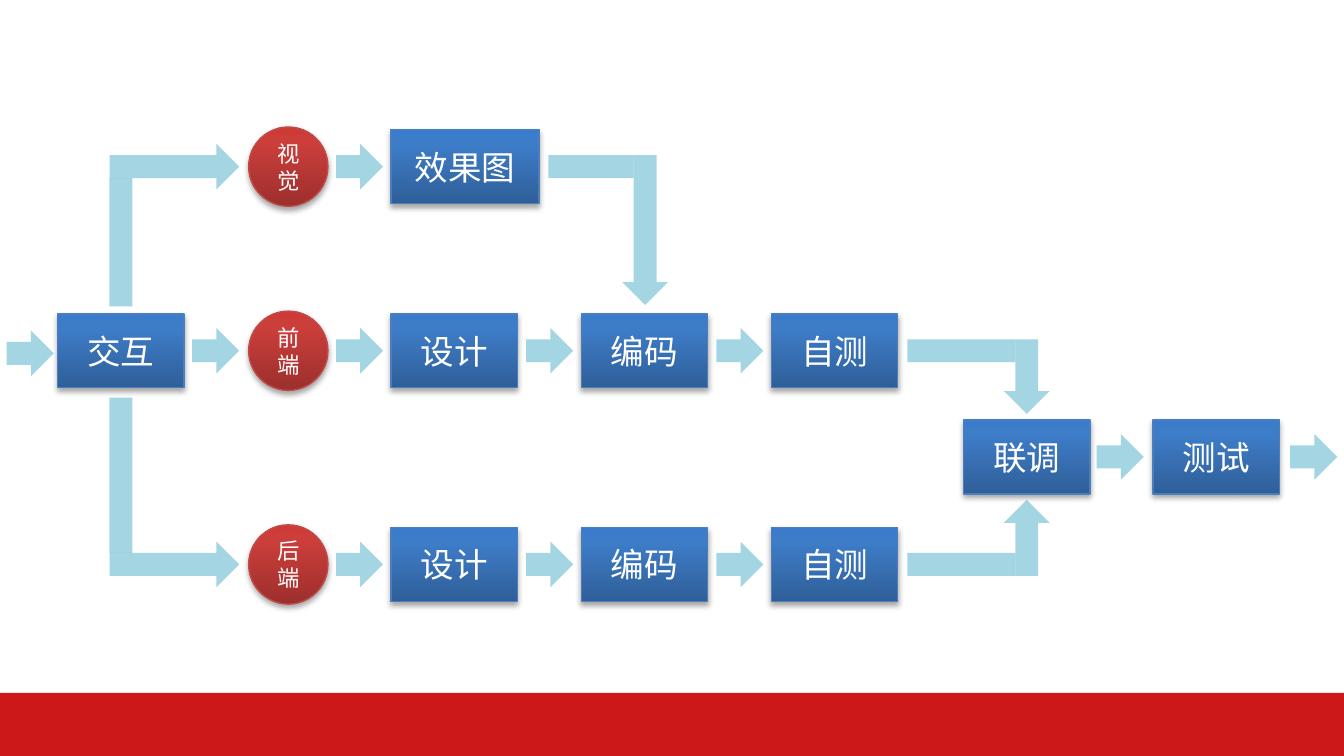
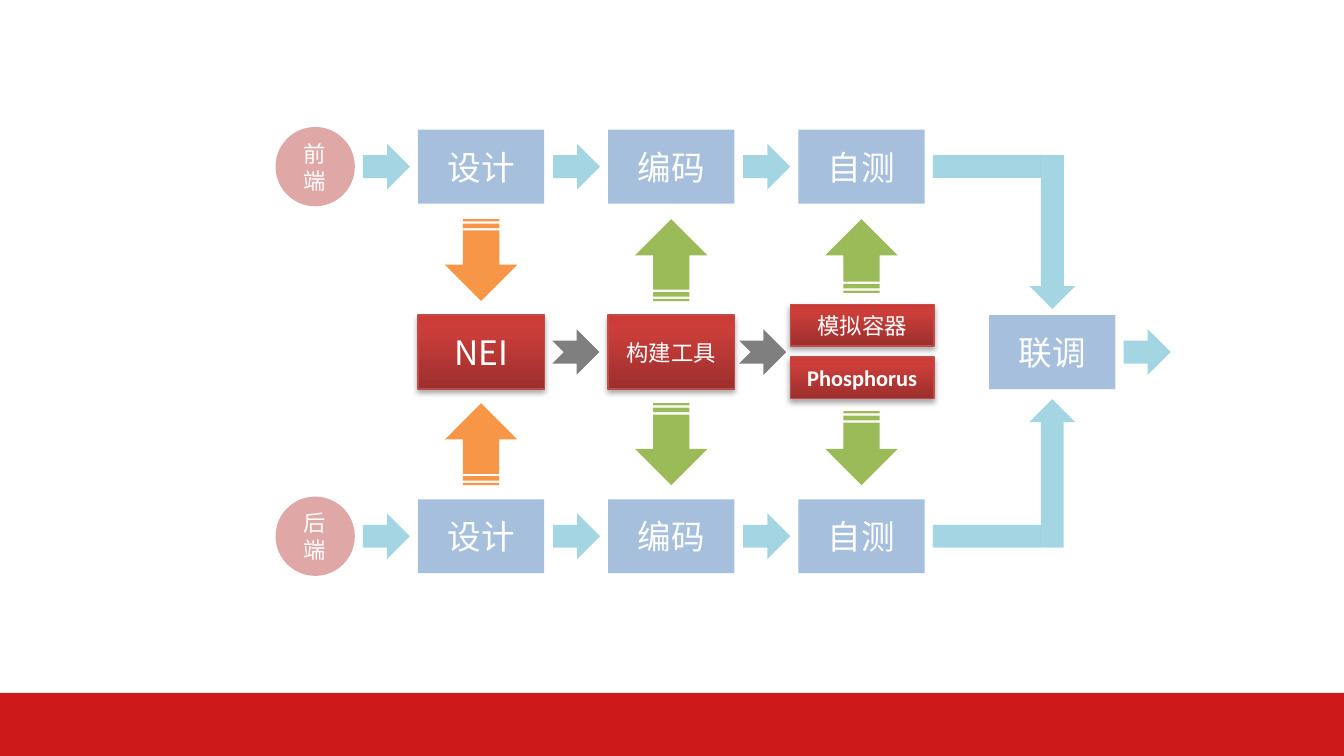
from functools import partial

from pptx import Presentation
from pptx.dml.color import RGBColor
from pptx.enum.shapes import MSO_SHAPE as SHAPE
from pptx.enum.text import MSO_ANCHOR, PP_ALIGN
from pptx.oxml import parse_xml
from pptx.oxml.ns import nsdecls
from pptx.util import Inches, Pt

WHITE = RGBColor(0xFF, 0xFF, 0xFF)
BAND_RED = RGBColor(0xCC, 0x18, 0x18)
BLUE = RGBColor(0x4F, 0x81, 0xBD)
RED = RGBColor(0xC0, 0x50, 0x4D)
AQUA = RGBColor(0x4B, 0xAC, 0xC6)
ORANGE = RGBColor(0xF7, 0x96, 0x46)
GREEN = RGBColor(0x9B, 0xBB, 0x59)
BLACK = RGBColor(0x00, 0x00, 0x00)
BLUE_EDGE = RGBColor(0x4B, 0x7E, 0xBC)
RED_EDGE = RGBColor(0xBF, 0x4C, 0x48)
# Gradient colours from bottom to top
BLUE_STOPS = (RGBColor(0x2F, 0x5F, 0x99), RGBColor(0x3D, 0x7C, 0xC7), RGBColor(0x3A, 0x7C, 0xCB))
RED_STOPS = (RGBColor(0x9C, 0x2F, 0x2D), RGBColor(0xCB, 0x3E, 0x3A), RGBColor(0xCE, 0x3B, 0x37))

CJK, LATIN = "Noto Sans CJK SC", "Calibri"
SLIDE_W = 10
SLIDE_H = SLIDE_W * 9 / 16
BAND_H = 0.47
BOX_W, BOX_H = 0.94, 0.55
PITCH = 2.83 / 2             # from one box of a lane to the next
CIRCLE = 0.59
STEP_W, ARROW_H = 0.35, 0.34
STEP_BACK = 0.41             # from a step arrow to the box it leads to
SHAFT = ARROW_H / 2
FLOW_STEPS = ("设计", "编码", "自测")


# Paints
def flat(sp, color, alpha=None):
    sp.shadow.inherit = False
    sp.fill.solid()
    sp.fill.fore_color.rgb = color
    sp.line.fill.background()
    if alpha:
        clr = sp.element.spPr.xpath("./a:solidFill/a:srgbClr")[0]
        clr.append(parse_xml(f'<a:alpha {nsdecls("a")} val="{alpha * 1000}"/>'))


def glossy(sp, stops, edge):
    spPr = sp.element.spPr
    marks = "".join(f'<a:gs pos="{pos}"><a:srgbClr val="{color}"/></a:gs>'
                    for pos, color in zip((0, 80000, 100000), stops))
    spPr.insert(2, parse_xml(
        f'<a:gradFill {nsdecls("a")} rotWithShape="1"><a:gsLst>{marks}</a:gsLst>'
        '<a:lin ang="16200000" scaled="0"/></a:gradFill>'))
    sp.line.color.rgb = edge
    sp.line.width = Pt(0.75)
    sp.shadow.inherit = False
    spPr.xpath("./a:effectLst")[0].append(parse_xml(
        f'<a:outerShdw {nsdecls("a")} blurRad="{Pt(3.1)}" dist="{Pt(1.8)}" dir="5400000" '
        'rotWithShape="0"><a:srgbClr val="000000"><a:alpha val="35000"/></a:srgbClr></a:outerShdw>'))


BLUE_GLOSS = partial(glossy, stops=BLUE_STOPS, edge=BLUE_EDGE)
RED_GLOSS = partial(glossy, stops=RED_STOPS, edge=RED_EDGE)
BLUE_FADED = partial(flat, color=BLUE, alpha=50)
RED_FADED = partial(flat, color=RED, alpha=50)
AQUA_FADED = partial(flat, color=AQUA, alpha=50)
GREY = partial(flat, color=BLACK, alpha=50)


# Basic parts
def add(s, kind, x, y, w, h, paint):
    sp = s.shapes.add_shape(kind, Inches(x), Inches(y), Inches(w), Inches(h))
    paint(sp)
    return sp


def label(sp, text, size, font=CJK, bold=None):
    tf = sp.text_frame
    tf.word_wrap = True
    tf.vertical_anchor = MSO_ANCHOR.MIDDLE
    p = tf.paragraphs[0]
    p.alignment = PP_ALIGN.CENTER
    r = p.add_run()
    r.text = text
    r.font.size = Pt(size)
    r.font.bold = bold
    r.font.color.rgb = WHITE
    r.font.name = font
    r.font._element.append(parse_xml(f'<a:ea {nsdecls("a")} typeface="{CJK}"/>'))


def box(s, x, cy, text, paint, w=BOX_W, h=BOX_H, size=18, **style):
    label(add(s, SHAPE.RECTANGLE, x, cy - h / 2, w, h, paint), text, size, **style)


def step_arrow(s, x, cy, kind=SHAPE.RIGHT_ARROW, paint=AQUA_FADED):
    add(s, kind, x, cy - ARROW_H / 2, STEP_W, ARROW_H, paint)


def vertical_arrow(s, cx, start, tip, kind=SHAPE.RIGHT_ARROW, thick=ARROW_H, paint=AQUA_FADED):
    length = abs(tip - start)
    sp = add(s, kind, cx - length / 2, (start + tip - thick) / 2, length, thick, paint)
    sp.rotation = 90 if tip > start else 270


# Bent arrows
def branch(s, cx, start, cy, tip_x):
    """Leave vertically from start, then point right at height cy."""
    left = cx - SHAFT / 2
    end = cy + SHAFT / 2 if start > cy else cy - SHAFT / 2
    add(s, SHAPE.RIGHT_ARROW, left, cy - ARROW_H / 2, tip_x - left, ARROW_H, AQUA_FADED)
    add(s, SHAPE.RECTANGLE, left, min(start, end), SHAFT, abs(start - end), AQUA_FADED)


def merge(s, x, cy, cx, tip):
    """Leave to the right at height cy, then point up or down to tip."""
    length = cx - SHAFT / 2 - x
    bar = add(s, SHAPE.RECTANGLE, x + (length - SHAFT) / 2, cy - length / 2,
              SHAFT, length, AQUA_FADED)
    bar.rotation = 90
    start = cy - SHAFT / 2 if tip > cy else cy + SHAFT / 2
    vertical_arrow(s, cx, start, tip)


# A lane: the role in a circle, then its steps
def lane(s, x, cy, role, steps, circle_paint, box_paint, w=BOX_W):
    sp = add(s, SHAPE.FLOWCHART_CONNECTOR, x, cy - CIRCLE / 2, CIRCLE, CIRCLE, circle_paint)
    label(sp, role, 12)
    for i, step in enumerate(steps):
        box_x = x + 1.06 + i * PITCH
        step_arrow(s, box_x - STEP_BACK, cy)
        box(s, box_x, cy, step, box_paint, w)


# Slide 1: the whole process
def process_slide(s):
    visual, front, back, joint = 1.24, 2.61, 4.2, 3.4
    step_arrow(s, 0.05, front + 0.02)
    box(s, 0.43, front, "交互", BLUE_GLOSS)
    branch(s, 0.9, 2.28, visual, 1.78)
    step_arrow(s, 1.43, front)
    branch(s, 0.9, 2.96, back, 1.78)

    lane(s, 1.85, visual, "视觉", ("效果图",), RED_GLOSS, BLUE_GLOSS, w=1.1)
    for cy, role in ((front, "前端"), (back, "后端")):
        lane(s, 1.85, cy, role, FLOW_STEPS, RED_GLOSS, BLUE_GLOSS)

    merge(s, 4.08, visual, 4.8, 2.27)
    merge(s, 6.75, front, 7.64, 3.08)
    merge(s, 6.75, back, 7.64, 3.72)
    box(s, 7.17, joint, "联调", BLUE_GLOSS)
    step_arrow(s, 8.16, joint)
    box(s, 8.58, joint, "测试", BLUE_GLOSS)
    step_arrow(s, 9.6, joint)


# Slide 2: tools between the two lanes
def tools_row(s, x, cy):
    box(s, x, cy, "NEI", RED_GLOSS)
    step_arrow(s, x + 1, cy, SHAPE.NOTCHED_RIGHT_ARROW, GREY)
    box(s, x + PITCH, cy, "构建工具", RED_GLOSS, size=12)
    step_arrow(s, x + 2.39, cy, SHAPE.NOTCHED_RIGHT_ARROW, GREY)
    for dy, text, font, bold in ((-0.2, "模拟容器", CJK, None), (0.19, "Phosphorus", LATIN, True)):
        box(s, x + 2.77, cy + dy, text, RED_GLOSS, 1.07, 0.31, 12, font=font, bold=bold)

    # Distances above and below the row: the lane end, then the tool end
    lane_gap = 0.99
    for i, (color, tool_gap, to_tool) in enumerate(
            ((ORANGE, 0.38, True), (GREEN, 0.38, False), (GREEN, 0.44, False))):
        start, tip = (lane_gap, tool_gap) if to_tool else (tool_gap, lane_gap)
        for side in (-1, 1):
            vertical_arrow(s, x + BOX_W / 2 + i * PITCH, cy + side * start, cy + side * tip,
                           SHAPE.STRIPED_RIGHT_ARROW, 0.54, partial(flat, color=color))


def tools_slide(s):
    front, middle, back = 1.24, 2.62, 3.99
    for cy, role, tip in ((front, "前端", 2.3), (back, "后端", 2.97)):
        lane(s, 2.05, cy, role, FLOW_STEPS, RED_FADED, BLUE_FADED)
        merge(s, 6.94, cy, 7.83, tip)
    box(s, 7.36, middle, "联调", BLUE_FADED)
    step_arrow(s, 8.36, middle)
    tools_row(s, 3.11, middle)


# Shared red band, kept on the layout
def move_band_to_layout(s):
    band = add(s, SHAPE.RECTANGLE, 0, SLIDE_H - BAND_H, SLIDE_W, BAND_H,
               partial(flat, color=BAND_RED))
    band.element.nvSpPr.cNvPr.id = 99
    s.slide_layout.shapes.element.insert(2, band.element)


def main():
    prs = Presentation()
    prs.slide_width, prs.slide_height = Inches(SLIDE_W), Inches(SLIDE_H)
    blank = prs.slide_layouts[6]
    for i, build in enumerate((process_slide, tools_slide)):
        s = prs.slides.add_slide(blank)
        if i == 0:
            move_band_to_layout(s)
        build(s)
    prs.save("out.pptx")


if __name__ == "__main__":
    main()
